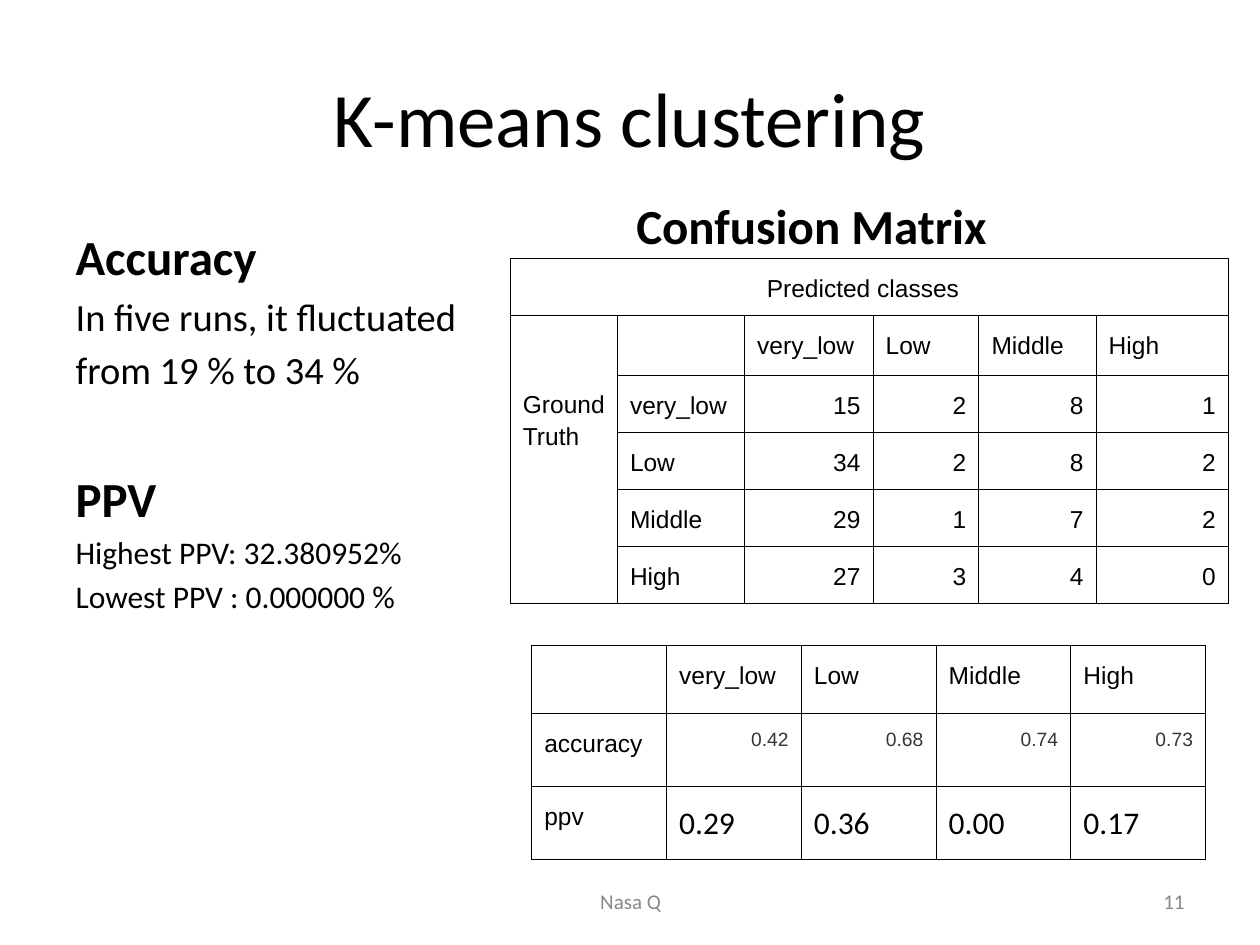
from lxml import etree
from pptx import Presentation
from pptx.dml.color import RGBColor
from pptx.enum import text
from pptx.oxml import ns
from pptx.util import Inches, Pt

LEFT, CENTER, RIGHT = text.PP_ALIGN.LEFT, text.PP_ALIGN.CENTER, text.PP_ALIGN.RIGHT


def write(paragraph, words, size, color="000000", font="Calibri", bold=False,
          align=LEFT, spacing=1.0, before=0):
    """Add one formatted run, without bullet or indent."""
    paragraph.alignment = align
    paragraph.line_spacing = spacing
    paragraph.space_before = Pt(before)
    properties = paragraph._p.get_or_add_pPr()
    properties.set("marL", "0")
    properties.set("indent", "0")
    etree.SubElement(properties, ns.qn("a:buNone"))
    run = paragraph.add_run()
    run.text = words
    run.font.size, run.font.name, run.font.bold = Pt(size), font, bold
    run.font.color.rgb = RGBColor.from_string(color)


def add_grid(left, top, widths, heights):
    """Add a plain table with thin black borders."""
    grid = slide.shapes.add_table(len(heights), len(widths), Inches(left), Inches(top),
                                  Inches(sum(widths)), Inches(sum(heights))).table
    grid.first_row = grid.horz_banding = False
    for column, width in zip(grid.columns, widths):
        column.width = Inches(width)
    for row, height in zip(grid.rows, heights):
        row.height = Inches(height)
    for cell in grid.iter_cells():
        cell.margin_left = cell.margin_right = Inches(0.1)
        cell.margin_top = cell.margin_bottom = Inches(0.1)
        cell.fill.background()
        for position, side in enumerate(("a:lnL", "a:lnR", "a:lnT", "a:lnB")):
            border = etree.Element(ns.qn(side), w=str(Pt(0.75)))
            fill = etree.SubElement(border, ns.qn("a:solidFill"))
            etree.SubElement(fill, ns.qn("a:srgbClr"), val="000000")
            cell._tc.get_or_add_tcPr().insert(position, border)
    return grid


prs = Presentation()
prs.slide_width, prs.slide_height = Inches(10), Inches(7.5)
slide = prs.slides.add_slide(prs.slide_layouts[3])

title, findings, matrix_heading = slide.placeholders
for holder, box in ((title, (0.5, 0.3, 9, 1.25)),
                    (findings, (0.5, 1.75, 3.46, 4.35)),
                    (matrix_heading, (4.95, 1.5, 4.42, 0.94))):
    holder.left, holder.top, holder.width, holder.height = map(Inches, box)
    holder.text_frame.auto_size = text.MSO_AUTO_SIZE.NONE

write(title.text_frame.paragraphs[0], "K-means clustering", 44, align=CENTER)
write(matrix_heading.text_frame.paragraphs[0], "Confusion Matrix", 28, bold=True)
write(findings.text_frame.paragraphs[0], "Accuracy", 28, bold=True)
for words, size, bold, before in (
        ("In five runs, it fluctuated from 19 % to 34 %", 22, False, 0),
        ("PPV", 28, True, 39),
        ("Highest PPV: 32.380952%", 18, False, 0),
        ("Lowest PPV : 0.000000 %", 18, False, 0)):
    write(findings.text_frame.add_paragraph(), words, size, bold=bold,
          spacing=1.15, before=before)

classes = ["very_low", "Low", "Middle", "High"]

# Confusion matrix
counts = [[15, 2, 8, 1], [34, 2, 8, 2], [29, 1, 7, 2], [27, 3, 4, 0]]
matrix = add_grid(4.05, 2.05, [0.85, 1.01, 1.02, 0.84, 0.93, 1.05],
                  [0.45, 0.48] + [0.45] * 4)
matrix.cell(0, 0).merge(matrix.cell(0, 5))
matrix.cell(1, 0).merge(matrix.cell(5, 0))
label = {"size": 14, "font": "Arial", "spacing": 1.15}
heading = matrix.cell(0, 0)
heading.margin_right = Inches(0.2)
write(heading.text_frame.paragraphs[0], "Predicted classes", align=CENTER, **label)
truth = matrix.cell(1, 0)
truth.margin_top, truth.margin_right = Inches(0.57), Inches(0.02)
write(truth.text_frame.paragraphs[0], "Ground", **label)
write(truth.text_frame.add_paragraph(), "Truth", **label)
corner = matrix.cell(1, 1)
corner.margin_top = corner.margin_bottom = Inches(0.05)
for i, name in enumerate(classes):
    write(matrix.cell(1, i + 2).text_frame.paragraphs[0], name, **label)
    write(matrix.cell(i + 2, 1).text_frame.paragraphs[0], name, **label)
    for j, count in enumerate(counts[i]):
        write(matrix.cell(i + 2, j + 2).text_frame.paragraphs[0], str(count),
              align=RIGHT, **label)

# Scores per class
accuracy = ["0.42", "0.68", "0.74", "0.73"]
ppv = ["0.29", "0.36", "0.00", "0.17"]
scores = add_grid(4.22, 5.12, [1.07] * 5, [0.54, 0.58, 0.58])
write(scores.cell(1, 0).text_frame.paragraphs[0], "accuracy", **label)
write(scores.cell(2, 0).text_frame.paragraphs[0], "ppv", **label)
for i, name in enumerate(classes):
    write(scores.cell(0, i + 1).text_frame.paragraphs[0], name, **label)
    write(scores.cell(1, i + 1).text_frame.paragraphs[0], accuracy[i], 11, "353535",
          "Arial", align=RIGHT, spacing=1.15)
    write(scores.cell(2, i + 1).text_frame.paragraphs[0], ppv[i], 18, spacing=1.15)

# Footer
for words, left, width, align in (("11", 7.17, 2.33, RIGHT), ("Nasa Q", 3.42, 3.17, CENTER)):
    footer = slide.shapes.add_textbox(Inches(left), Inches(6.95), Inches(width), Inches(0.4))
    footer.text_frame.word_wrap = True
    footer.text_frame.vertical_anchor = text.MSO_ANCHOR.MIDDLE
    write(footer.text_frame.paragraphs[0], words, 12, "888888", align=align)

prs.save("out.pptx")
